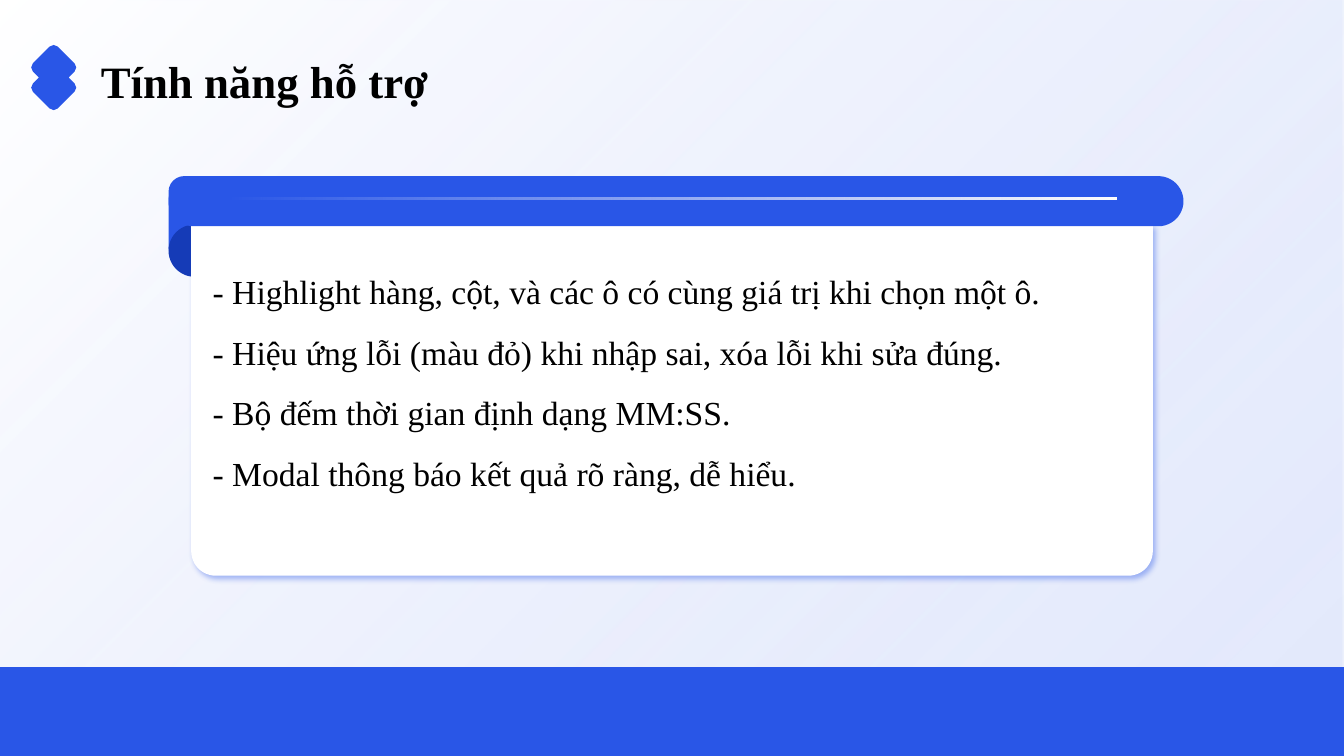
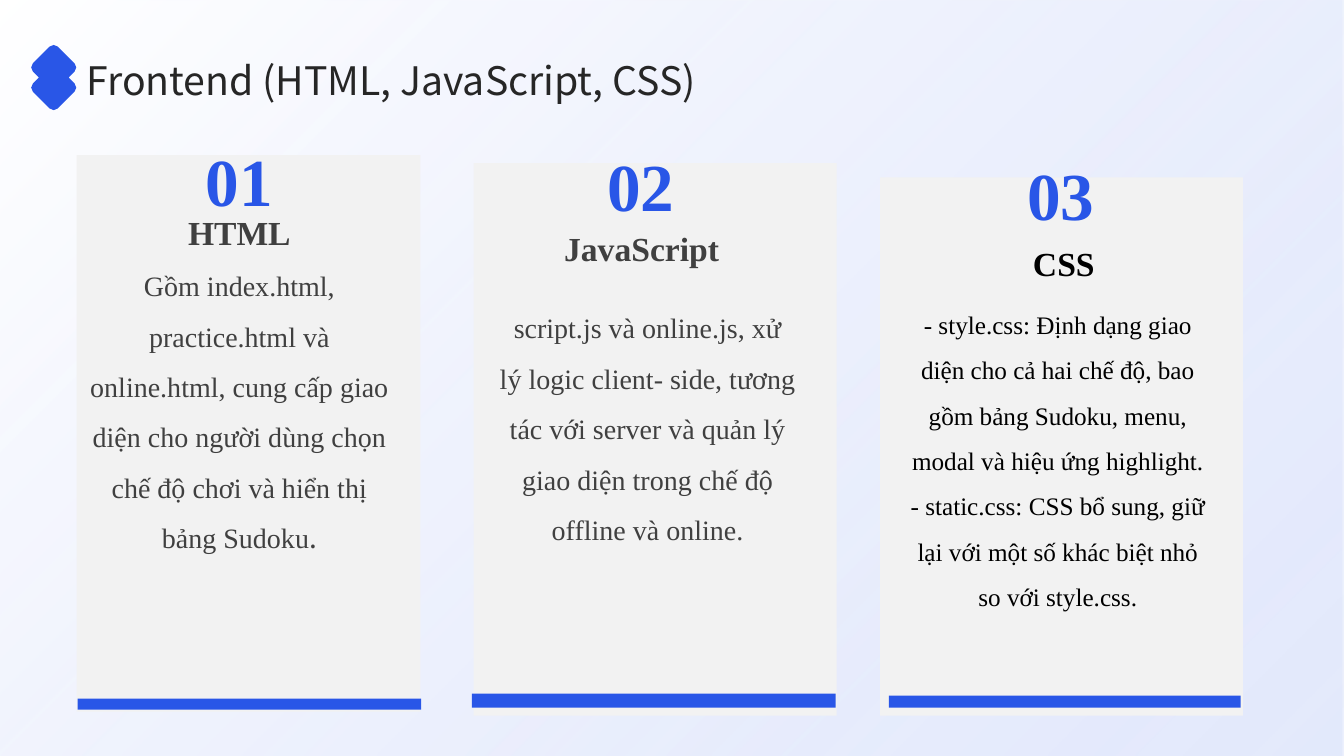
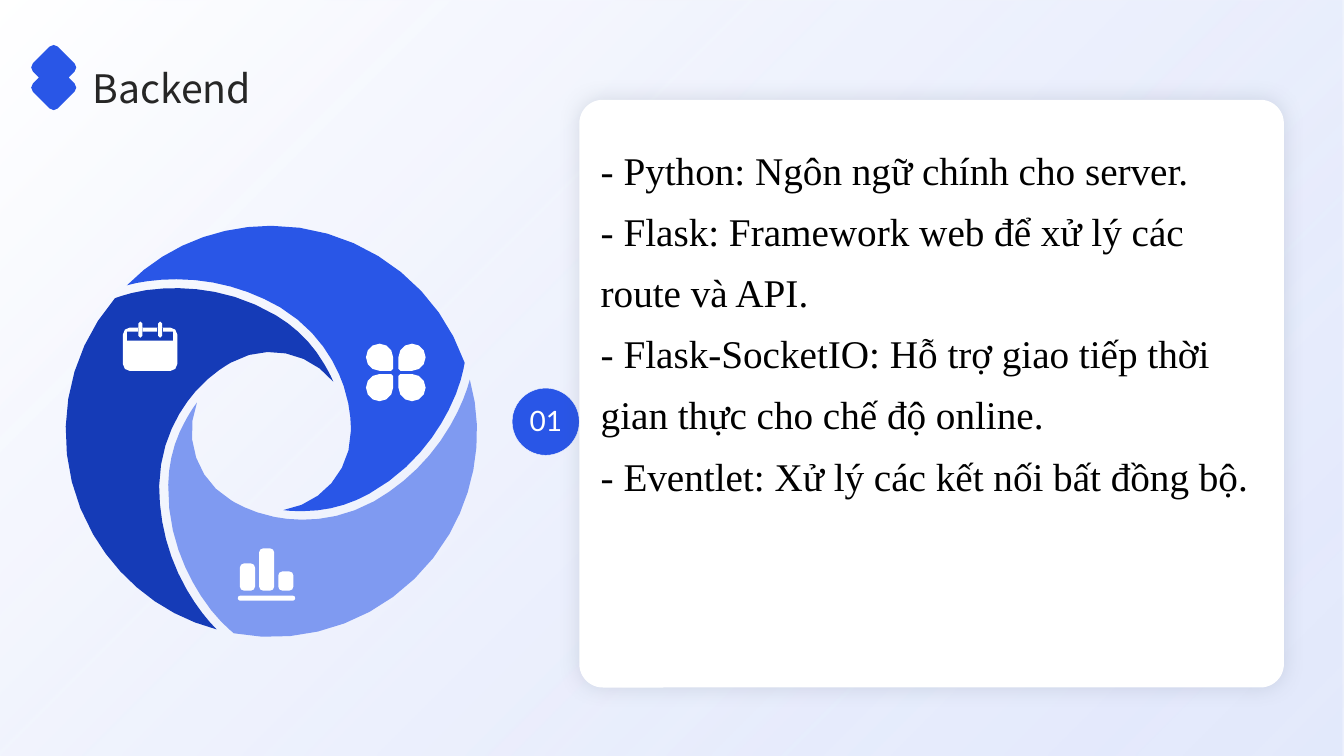
"""Builds three slides on the features, frontend and backend of a Sudoku game."""
import math
from dataclasses import dataclass
from typing import NamedTuple

from lxml import etree
from pptx import Presentation
from pptx.dml.color import RGBColor
from pptx.enum.shapes import MSO_SHAPE
from pptx.enum.text import MSO_ANCHOR, PP_ALIGN
from pptx.oxml.ns import qn
from pptx.util import Pt

RECT = MSO_SHAPE.RECTANGLE
ROUND = MSO_SHAPE.ROUNDED_RECTANGLE
ROUND_PAIR = MSO_SHAPE.ROUND_2_SAME_RECTANGLE
TRAPEZOID = MSO_SHAPE.TRAPEZOID
OVAL = MSO_SHAPE.OVAL
TOP, MIDDLE = MSO_ANCHOR.TOP, MSO_ANCHOR.MIDDLE
LEFT, CENTER = PP_ALIGN.LEFT, PP_ALIGN.CENTER

BLUE, NAVY, SKY, PALE = "2956E7", "153BB7", "7F9AF1", "D4DDFA"
WHITE, BLACK, GRAY, PANEL, INK = "FFFFFF", "000000", "404040", "F2F2F2", "262626"
SLATE = "44546A"
SERIF, SANS, NUMERAL = "Times New Roman", "Noto Sans CJK SC", "Lato"
PAGE_WIDTH, PAGE_HEIGHT = 960, 540
ARC = 0.55
SMOOTHNESS = 0.65

Point = tuple[float, float]
Outline = list[Point]


class Box(NamedTuple):
    left: float
    top: float
    width: float
    height: float


class Style(NamedTuple):
    size: float
    font: str
    color: str
    bold: bool = False
    spacing: float = 1.0
    align: PP_ALIGN = LEFT
    anchor: MSO_ANCHOR = TOP


class Stop(NamedTuple):
    position: float
    color: str
    opacity: int = 100


class Shadow(NamedTuple):
    color: str
    opacity: int
    blur: float
    distance: float
    angle: int


class Corner(NamedTuple):
    x: float
    y: float
    reach: float = 0


@dataclass
class Card:
    number: str
    number_at: Point
    heading: str
    heading_box: Box
    lines: list[str]
    body_box: Box
    panel: Box
    bar: Box
    color: str
    size: float
    tail: str = ""


TITLE = Style(28, SANS, INK, spacing=1.1, anchor=MIDDLE)
SERIF_TITLE = TITLE._replace(size=32, font=SERIF, color=BLACK, bold=True)
FEATURES = Style(24, SERIF, BLACK, spacing=1.5)
STACK = Style(28, SERIF, BLACK, spacing=1.3)
CARD_NUMBER = Style(48, SERIF, BLUE, True, 1.3, CENTER)
BADGE = Style(20, NUMERAL, WHITE, False, 0.9, CENTER, MIDDLE)

WHEEL_CENTER = (193.7, 308.2)
BLADE_START = (69.8, 44.6)
BLADE_CURVES = [
    ((100.8, 27.4), (117.4, 2.9), (126.7, -15.1)),
    ((135.4, -31.7), (137.5, -45.4), (138.2, -49)),
    ((118.1, -107.3), (61.9, -146.9), (0, -146.9)),
    ((-38.9, -146.9), (-76.3, -131.8), (-103, -104.4)),
    ((-95, -106.6), (-82.8, -108.7), (-67.7, -108.7)),
    ((-41, -108.7), (-15.8, -101.5), (6.5, -88.6)),
    ((33.8, -72), (46.1, -49), (51.8, -32.4)),
    ((57.6, -15.1), (56.9, -1.4), (56.9, 0)),
    ((56.9, 28.1), (36, 51.8), (8.6, 56.2)),
    ((13, 56.9), (18, 56.9), (23, 56.9)),
    ((39.6, 56.9), (55.4, 52.6), (69.8, 44.6)),
]

CARDS = [
    Card("01", (111.6, 78.5), "HTML", Box(28.1, 141.1, 285.8, 41),
         ["Gồm index.html, practice.html và online.html, cung cấp giao diện cho "
          "người dùng chọn chế độ chơi và hiển thị bảng Sudoku"],
         Box(54.7, 176.4, 232.6, 203.8), Box(54.7, 110.9, 245.5, 397.4),
         Box(55.4, 499, 245.5, 7.9), GRAY, 20, "."),
    Card("02", (398.2, 82.1), "JavaScript", Box(315.4, 145.4, 285.8, 54.7),
         ["script.js và online.js, xử lý logic client- side, tương tác với server "
          "và quản lý giao diện trong chế độ offline và online."],
         Box(349.9, 206.6, 225.4, 281.5), Box(338.4, 116.6, 259.2, 394.6),
         Box(337, 495.4, 259.9, 10.1), GRAY, 20),
    Card("03", (698.4, 88.6), "CSS", Box(617, 156.2, 285.8, 54.7),
         ["- style.css: Định dạng giao diện cho cả hai chế độ, bao gồm bảng Sudoku, "
          "menu, modal và hiệu ứng highlight.",
          "- static.css: CSS bổ sung, giữ lại với một số khác biệt nhỏ so với style.css."],
         Box(638.6, 206.6, 234, 280.1), Box(628.6, 126.7, 259.2, 384.5),
         Box(635, 496.8, 251.3, 8.6), BLACK, 18),
]


def rgb(color: str) -> RGBColor:
    return RGBColor.from_string(color)


def fill_gradient(shape, stops: list[Stop], angle: int) -> None:
    shape.fill.gradient()
    shape.fill.gradient_angle = (360 - angle) % 360
    for target, stop in zip(shape.fill.gradient_stops, stops):
        target.position = stop.position
        target.color.rgb = rgb(stop.color)
    for node, stop in zip(shape.element.iter(qn("a:srgbClr")), stops):
        if stop.opacity < 100:
            etree.SubElement(node, qn("a:alpha"), val=str(stop.opacity * 1000))


def cast_shadow(shape, shadow: Shadow) -> None:
    effects = shape.element.spPr.find(qn("a:effectLst"))
    outer = etree.SubElement(
        effects, qn("a:outerShdw"), blurRad=str(Pt(shadow.blur)),
        dist=str(Pt(shadow.distance)), dir=str(shadow.angle * 60000),
        algn="ctr", rotWithShape="0")
    node = etree.SubElement(outer, qn("a:srgbClr"), val=shadow.color)
    etree.SubElement(node, qn("a:alpha"), val=str(shadow.opacity * 1000))


def finish(shape, color: str) -> None:
    shape.shadow.inherit = False
    shape.line.fill.background()
    shape.fill.solid()
    shape.fill.fore_color.rgb = rgb(color)


def add_block(page, kind, box: Box, color: str = WHITE, adjust: tuple[float, ...] = ()):
    shape = page.shapes.add_shape(kind, *map(Pt, box))
    finish(shape, color)
    for index, value in enumerate(adjust):
        shape.adjustments[index] = value
    return shape


def format_span(span, style: Style) -> None:
    span.font.size = Pt(style.size)
    span.font.name = style.font
    span.font.bold = style.bold
    span.font.color.rgb = rgb(style.color)


def add_text(page, box: Box, lines: list[str], style: Style, inset: bool = False):
    frame = page.shapes.add_textbox(*map(Pt, box)).text_frame
    frame.word_wrap = True
    frame.vertical_anchor = style.anchor
    if not inset:
        frame.margin_left = frame.margin_right = 0
        frame.margin_top = frame.margin_bottom = 0
    frame.text = "\n".join(lines)
    for para in frame.paragraphs:
        para.alignment = style.align
        para.line_spacing = style.spacing
        for span in para.runs:
            format_span(span, style)
    return frame


def curve(start: Point, first: Point, second: Point, end: Point) -> Outline:
    points = []
    steps = math.ceil(SMOOTHNESS * math.sqrt(math.dist(start, end)))
    for step in range(1, steps + 1):
        t = step / steps
        weights = ((1 - t) ** 3, 3 * t * (1 - t) ** 2, 3 * t * t * (1 - t), t ** 3)
        nodes = (start, first, second, end)
        points.append((sum(w * n[0] for w, n in zip(weights, nodes)),
                       sum(w * n[1] for w, n in zip(weights, nodes))))
    return points


def toward(corner: Corner, other: Corner, length: float) -> Point:
    share = length / math.dist(corner[:2], other[:2])
    return (corner.x + (other.x - corner.x) * share,
            corner.y + (other.y - corner.y) * share)


def round_corners(corners: list[Corner]) -> Outline:
    outline = []
    for index, corner in enumerate(corners):
        if not corner.reach:
            outline.append((corner.x, corner.y))
            continue
        before, after = corners[index - 1], corners[(index + 1) % len(corners)]
        start = toward(corner, before, corner.reach)
        handle = corner.reach * (1 - ARC)
        outline.append(start)
        outline += curve(start, toward(corner, before, handle),
                         toward(corner, after, handle),
                         toward(corner, after, corner.reach))
    return outline


def round_box(box: Box, *reaches: float) -> Outline:
    right, bottom = box.left + box.width, box.top + box.height
    spots = [(box.left, box.top), (right, box.top), (right, bottom), (box.left, bottom)]
    radii = reaches if len(reaches) == 4 else reaches * 4
    return round_corners([Corner(x, y, reach) for (x, y), reach in zip(spots, radii)])


def add_outline(page, outlines: list[Outline], color: str) -> None:
    scaled = [[(Pt(x), Pt(y)) for x, y in outline] for outline in outlines]
    builder = page.shapes.build_freeform(*scaled[0][0])
    builder.add_line_segments(scaled[0][1:])
    for outline in scaled[1:]:
        builder.move_to(*outline[0])
        builder.add_line_segments(outline[1:])
    finish(builder.convert_to_shape(), color)


def add_marker(page) -> None:
    x, upper, lower, half, reach = 38.4, 48.2, 62.6, 17.8, 4.1
    waist = (upper + lower) / 2
    notch = half - (lower - upper) / 2
    add_outline(page, [round_corners([
        Corner(x, upper - half, reach), Corner(x + half, upper, reach),
        Corner(x + notch, waist), Corner(x + half, lower, reach),
        Corner(x, lower + half, reach), Corner(x - half, lower, reach),
        Corner(x - notch, waist), Corner(x - half, upper, reach)])], BLUE)


def start_page(deck, title: str, left: float, top: float, style: Style = TITLE):
    page = deck.slides.add_slide(deck.slide_layouts[6])
    backdrop = add_block(page, RECT, Box(0, 0, PAGE_WIDTH, PAGE_HEIGHT))
    fill_gradient(backdrop, [Stop(0, WHITE), Stop(0.98, PALE, 64)], 45)
    add_text(page, Box(left, top, 840, 36.7), [title], style)
    add_marker(page)
    return page


def add_blade(page, turn: int, color: str) -> None:
    outline = [BLADE_START]
    for nodes in BLADE_CURVES:
        outline += curve(outline[-1], *nodes)
    cosine, sine = math.cos(math.radians(turn)), math.sin(math.radians(turn))
    add_outline(page, [[(WHEEL_CENTER[0] + x * cosine - y * sine,
                         WHEEL_CENTER[1] + x * sine + y * cosine)
                        for x, y in outline]], color)


def add_calendar_icon(page) -> None:
    window = [(90.7, 243.4), (90.7, 236.9), (98.6, 236.9), (98.6, 234),
              (102.2, 234), (102.2, 236.9), (112.3, 236.9), (112.3, 234),
              (116.6, 234), (116.6, 236.9), (123.8, 236.9), (123.8, 243.4)]
    pins = [round_box(Box(left, 229.7, 2.9, 11.5), 1.4) for left in (98.9, 113)]
    add_outline(page, [round_box(Box(87.8, 234, 38.9, 31), 5), window, *pins], WHITE)


def add_chart_icon(page) -> None:
    base = 421.9
    bars = [round_box(Box(171.4 + 13.7 * index, base - height, 10.8, height), 2.9)
            for index, height in enumerate((19.4, 30.2, 13.7))]
    add_outline(page, [*bars, round_box(Box(169.9, 425.5, 41, 3.6), 1.7)], WHITE)


def add_petal_icon(page) -> None:
    size, wide, slight = 19.4, 9.7, 1.4
    petals = []
    for index, inner in enumerate((2, 3, 1, 0)):
        row, column = divmod(index, 2)
        reaches = [slight if corner == inner else wide for corner in range(4)]
        spot = Box(261.4 + 23.2 * column, 245.5 + 21.7 * row, size, size)
        petals.append(round_box(spot, *reaches))
    add_outline(page, petals, WHITE)


def add_card(page, card: Card) -> None:
    add_block(page, RECT, card.panel, PANEL)
    add_block(page, RECT, card.bar, BLUE)
    add_text(page, Box(*card.number_at, 118.8, 82.8), [card.number], CARD_NUMBER, True)
    heading = Style(24, SERIF, card.color, True, 1.3, CENTER, MIDDLE)
    add_text(page, card.heading_box, [card.heading], heading, True)
    body = Style(card.size, SERIF, card.color, False, 1.5, CENTER)
    frame = add_text(page, card.body_box, card.lines, body, True)
    if card.tail:
        span = frame.paragraphs[-1].add_run()
        span.text = card.tail
        format_span(span, body._replace(font=SANS))


def build_features(deck) -> None:
    page = start_page(deck, "Tính năng hỗ trợ", 72, 37.4, SERIF_TITLE)
    add_block(page, RECT, Box(0, 476.6, PAGE_WIDTH, 63.4), BLUE)
    floor = add_block(page, TRAPEZOID, Box(0, 406.8, PAGE_WIDTH, 69.8), adjust=(2.3,))
    fill_gradient(floor, [Stop(0, PALE, 0), Stop(0.98, SKY)], 90)
    add_block(page, ROUND, Box(120.4, 125.8, 293.8, 61.9), BLUE, (0.18,))
    add_block(page, OVAL, Box(120.4, 160.4, 37.3, 37.3), NAVY)
    sheet = add_block(page, ROUND_PAIR, Box(136.6, 160.6, 686.9, 250.6), WHITE, (0, 0.07))
    cast_shadow(sheet, Shadow(BLUE, 40, 4, 3, 45))
    add_block(page, ROUND, Box(120.4, 125.8, 725, 35.8), BLUE, (0.5,))
    add_text(page, Box(151.9, 179.3, 656.6, 216), [
        "- Highlight hàng, cột, và các ô có cùng giá trị khi chọn một ô.",
        "- Hiệu ứng lỗi (màu đỏ) khi nhập sai, xóa lỗi khi sửa đúng.",
        "- Bộ đếm thời gian định dạng MM:SS.",
        "- Modal thông báo kết quả rõ ràng, dễ hiểu."], FEATURES)
    gleam = add_block(page, RECT, Box(159.8, 140.8, 637.9, 1.8))
    fill_gradient(gleam, [Stop(0, WHITE, 0), Stop(1, WHITE)], 0)


def build_frontend(deck) -> None:
    page = start_page(deck, "Frontend (HTML, JavaScript, CSS)", 61.9, 36.7)
    for card in CARDS:
        add_card(page, card)


def build_backend(deck) -> None:
    page = start_page(deck, "Backend", 66.2, 42.5)
    for index, color in enumerate((BLUE, SKY, NAVY)):
        add_blade(page, 120 * index, color)
    add_calendar_icon(page)
    add_chart_icon(page)
    add_petal_icon(page)
    badge = add_block(page, OVAL, Box(365.8, 277.2, 48, 48), BLUE)
    badge.line.color.rgb = rgb(WHITE)
    badge.line.width = Pt(0.25)
    sheet = add_block(page, ROUND, Box(413.8, 71.3, 503.3, 419.8), WHITE, (0.04,))
    cast_shadow(sheet, Shadow(SLATE, 17, 15, 0, 0))
    add_text(page, Box(429.1, 94.3, 478.1, 362.9), [
        "- Python: Ngôn ngữ chính cho server.",
        "- Flask: Framework web để xử lý các route và API.",
        "- Flask-SocketIO: Hỗ trợ giao tiếp thời gian thực cho chế độ online.",
        "- Eventlet: Xử lý các kết nối bất đồng bộ."], STACK)
    add_text(page, Box(362.2, 287.3, 55.4, 29.5), ["01"], BADGE)


def main() -> None:
    deck = Presentation()
    deck.slide_width, deck.slide_height = Pt(PAGE_WIDTH), Pt(PAGE_HEIGHT)
    build_features(deck)
    build_frontend(deck)
    build_backend(deck)
    deck.save("out.pptx")


if __name__ == "__main__":
    main()
